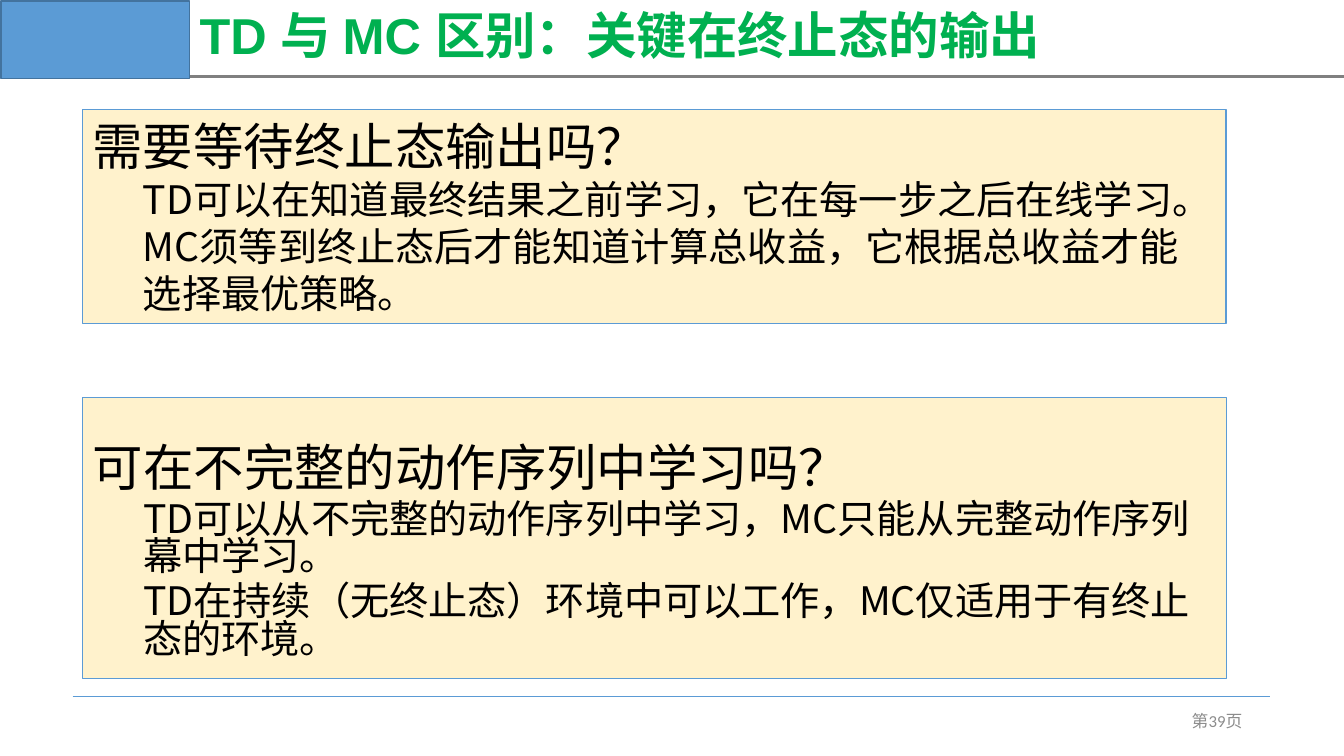
from pptx import Presentation
from pptx.dml.color import RGBColor
from pptx.enum.shapes import MSO_CONNECTOR, MSO_SHAPE
from pptx.enum.text import MSO_ANCHOR, MSO_AUTO_SIZE, PP_ALIGN
from pptx.oxml.ns import qn
from pptx.util import Inches, Pt
from lxml.etree import SubElement

BLUE = RGBColor(0x5B, 0x9B, 0xD5)
NAVY = RGBColor(0x43, 0x73, 0x9E)
GREEN = RGBColor(0x00, 0xB0, 0x50)
CREAM = RGBColor(0xFF, 0xF2, 0xCC)
GRAY = RGBColor(0x80, 0x80, 0x80)
PALE = RGBColor(0x8C, 0x8C, 0x8C)
BLACK = RGBColor(0, 0, 0)
HAN = "Noto Sans CJK SC"


class Page:
    def __init__(self, slide):
        self.slide = slide
        self.shapes = slide.shapes

    def place(self, shape, left, top, width, height):
        shape.left, shape.top = Inches(left), Inches(top)
        shape.width, shape.height = Inches(width), Inches(height)

    def paint(self, shape, fill, line, weight):
        shape.fill.solid()
        shape.fill.fore_color.rgb = fill
        shape.line.color.rgb = line
        shape.line.width = Pt(weight)

    def label(self, para, text, size, color, font=HAN, bold=False):
        para.text = text
        for run in para.runs:
            run.font.size = Pt(size)
            run.font.bold = bold
            run.font.name = font
            run.font.color.rgb = color
            SubElement(run.font._element, qn("a:ea")).set("typeface", HAN)

    def rule(self, left, right, y, color, weight):
        line = self.shapes.add_connector(
            MSO_CONNECTOR.STRAIGHT, Inches(left), Inches(y), Inches(right), Inches(y))
        line.line.color.rgb = color
        line.line.width = Pt(weight)
        SubElement(line._element.spPr, qn("a:effectLst"))

    def rect(self, left, top, width, height, fill, line, weight):
        shape = self.shapes.add_shape(
            MSO_SHAPE.RECTANGLE, Inches(left), Inches(top), Inches(width), Inches(height))
        shape.shadow.inherit = False
        self.paint(shape, fill, line, weight)
        return shape

    def title(self, text):
        shape = self.shapes.title
        self.place(shape, 1.88, 0, 11.18, 0.76)
        frame = shape.text_frame
        frame.auto_size = MSO_AUTO_SIZE.NONE
        frame.vertical_anchor = MSO_ANCHOR.MIDDLE
        para = frame.paragraphs[0]
        para.alignment = PP_ALIGN.LEFT
        para.line_spacing = 0.9
        self.label(para, text, 36, GREEN, "Arial", True)

    def points(self, shape, lines, pitch=1.0, gap=0, inset=0.05):
        """Fill a panel with a question and its indented answers."""
        frame = shape.text_frame
        frame.word_wrap = True
        frame.auto_size = MSO_AUTO_SIZE.NONE
        frame.vertical_anchor = MSO_ANCHOR.TOP
        frame.margin_top = Inches(inset)
        frame.text = "\n".join(lines)
        for i, (para, text) in enumerate(zip(frame.paragraphs, lines)):
            para.level = min(i, 1)
            para.alignment = PP_ALIGN.LEFT
            para.line_spacing = pitch
            para.space_before = Pt(gap if i else 0)
            self.label(para, text, 28 if i else 36, BLACK)
            props = para._p.get_or_add_pPr()
            props.set("marL", str(Inches(0.5 if i else 0)))
            props.set("indent", "0")
            SubElement(props, qn("a:buNone"))

    def number(self, text):
        box = self.shapes.add_textbox(Inches(9.42), Inches(6.95), Inches(3), Inches(0.4))
        frame = box.text_frame
        frame.word_wrap = True
        frame.vertical_anchor = MSO_ANCHOR.MIDDLE
        para = frame.paragraphs[0]
        para.alignment = PP_ALIGN.RIGHT
        self.label(para, text, 12, PALE, "Calibri")


def main():
    deck = Presentation()
    deck.slide_width, deck.slide_height = Inches(13.33), Inches(7.5)
    page = Page(deck.slides.add_slide(deck.slide_layouts[1]))

    # Frame: rules and corner block
    page.rule(0.72, 12.6, 6.91, BLUE, 0.5)
    page.rule(1.71, 13.33, 0.76, GRAY, 2)
    page.rect(0.01, 0.01, 1.87, 0.77, BLUE, NAVY, 1)

    # Title and page number
    page.title("TD 与 MC 区别：关键在终止态的输出")
    page.number("第39页")

    # Lower panel: incomplete sequences
    body = page.slide.placeholders[1]
    page.place(body, 0.82, 3.94, 11.34, 2.79)
    page.paint(body, CREAM, BLUE, 0.75)
    page.points(body, [
        "可在不完整的动作序列中学习吗？",
        "TD可以从不完整的动作序列中学习，MC只能从完整动作序列幕中学习。",
        "TD在持续（无终止态）环境中可以工作，MC仅适用于有终止态的环境。",
    ], pitch=0.8, gap=5, inset=0.5)

    # Upper panel: waiting for the final state
    panel = page.rect(0.82, 1.09, 11.34, 2.12, CREAM, BLUE, 0.75)
    page.points(panel, [
        "需要等待终止态输出吗？",
        "TD可以在知道最终结果之前学习，它在每一步之后在线学习。",
        "MC须等到终止态后才能知道计算总收益，它根据总收益才能选择最优策略。",
    ])

    deck.save("out.pptx")


if __name__ == "__main__":
    main()
